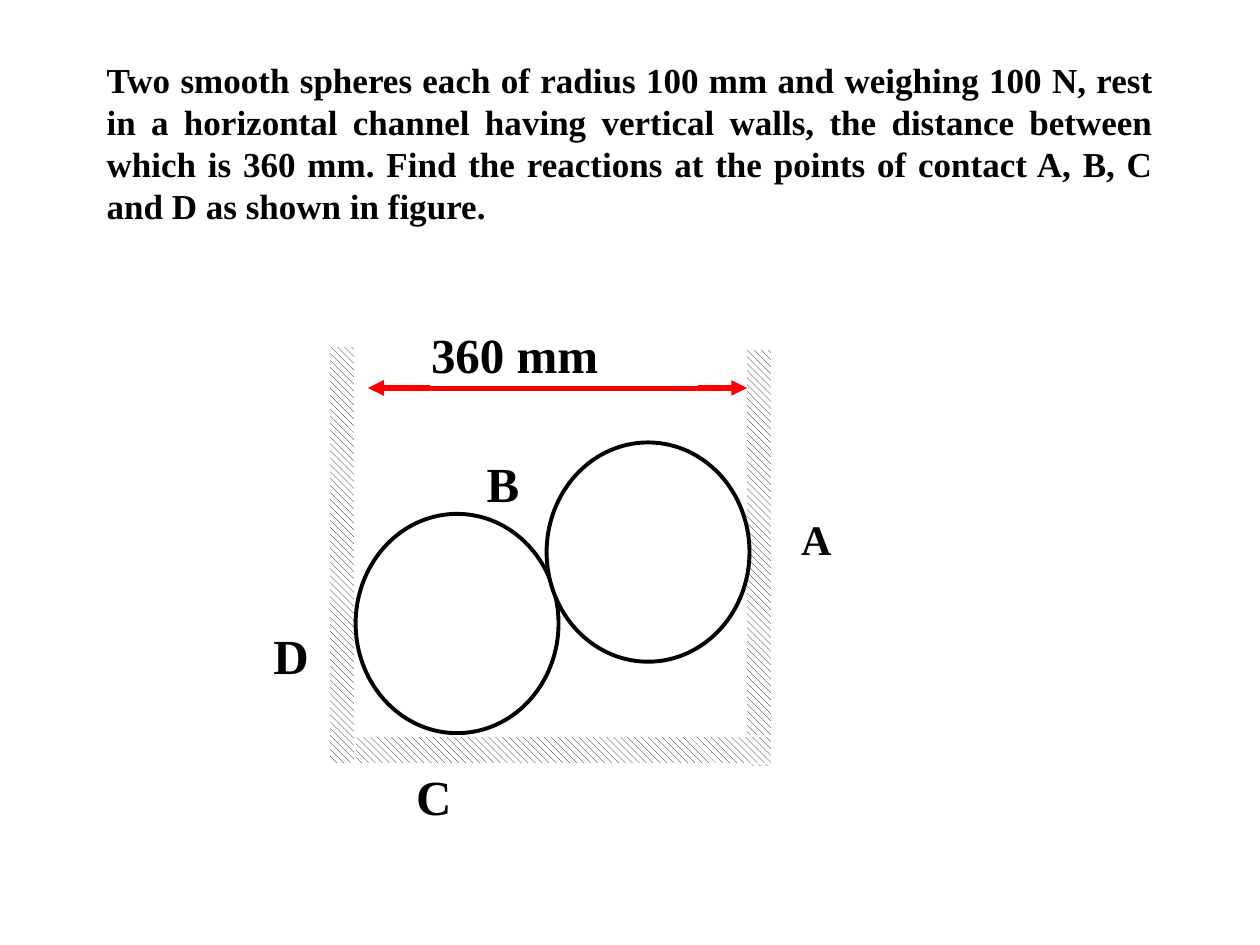
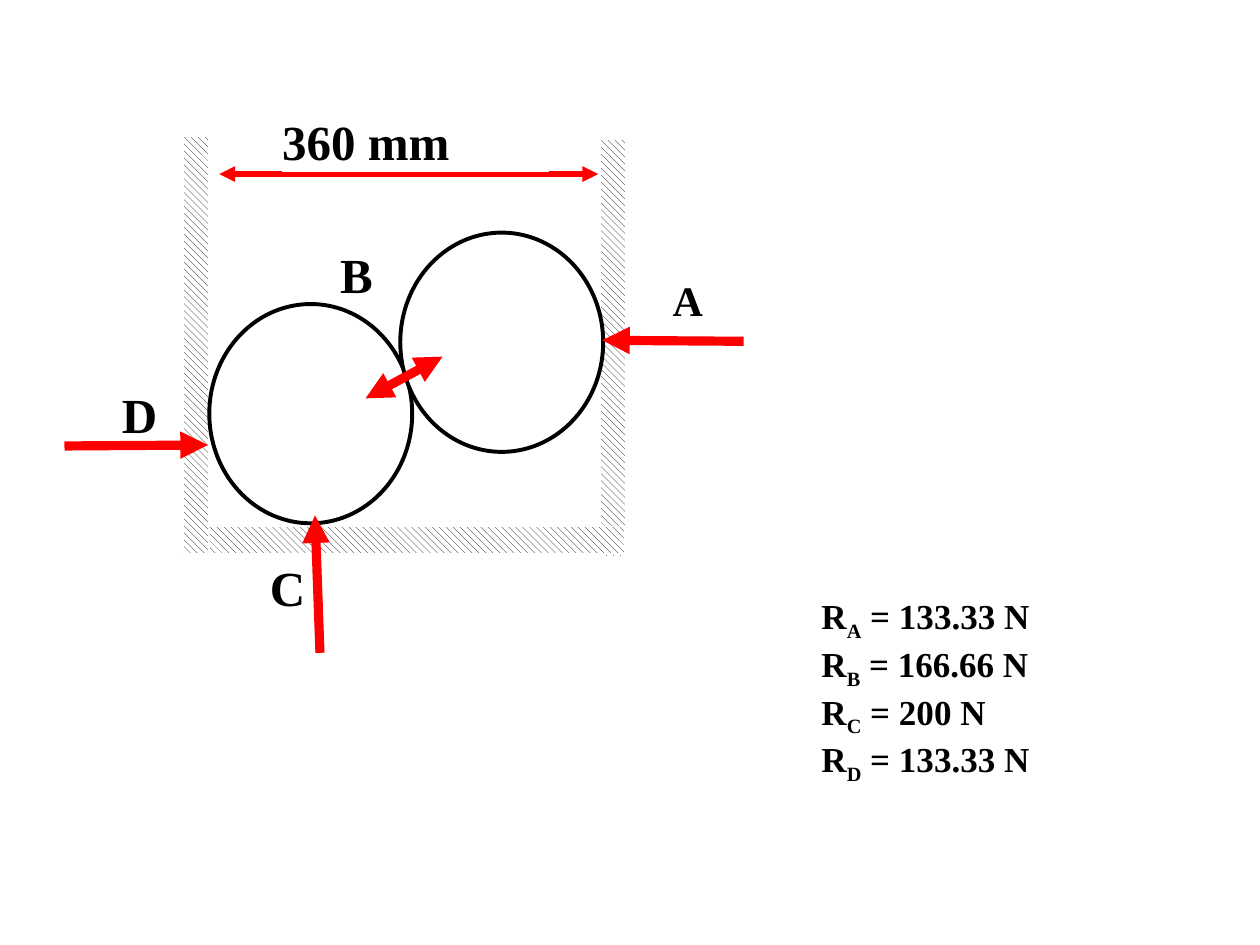
from dataclasses import dataclass

from lxml import etree
from pptx import Presentation
from pptx.dml.color import RGBColor
from pptx.enum.dml import MSO_PATTERN
from pptx.enum.shapes import MSO_CONNECTOR, MSO_SHAPE
from pptx.enum.text import MSO_ANCHOR, MSO_AUTO_SIZE, PP_ALIGN
from pptx.oxml.ns import qn
from pptx.util import Cm, Pt

RECTANGLE, OVAL = MSO_SHAPE.RECTANGLE, MSO_SHAPE.OVAL
STRAIGHT = MSO_CONNECTOR.STRAIGHT
HATCH = MSO_PATTERN.WIDE_DOWNWARD_DIAGONAL
TOP = MSO_ANCHOR.TOP
GROW = MSO_AUTO_SIZE.SHAPE_TO_FIT_TEXT
LEFT, RIGHT, JUSTIFY = PP_ALIGN.LEFT, PP_ALIGN.RIGHT, PP_ALIGN.JUSTIFY


@dataclass(frozen=True)
class Theme:
    font: str = "Times New Roman"
    ink: RGBColor = RGBColor(0, 0, 0)
    paper: RGBColor = RGBColor(255, 255, 255)
    arrow: RGBColor = RGBColor(255, 0, 0)
    body_size: Pt = Pt(20)
    small_label_size: Pt = Pt(24)
    label_size: Pt = Pt(28)
    edge_width: Pt = Pt(0.75)
    sphere_width: Pt = Pt(2.25)
    dimension_width: Pt = Pt(3)
    force_width: Pt = Pt(5.25)


THEME = Theme()

PROBLEM = (
    "Two smooth spheres each of radius 100 mm and weighing 100 N, rest in a "
    "horizontal channel having vertical walls, the distance between which is "
    "360 mm. Find the reactions at the points of contact A, B, C and D as "
    "shown in figure."
)
# The spaces after some values keep the justified column as set.
REACTIONS = [
    ("A", " = 133.33 N "),
    ("B", " = 166.66 N"),
    ("C", " = 200 N "),
    ("D", " = 133.33 N"),
]
# Each force: start, end, whether it points both ways (cm on the slide).
FORCES = [
    ((14.99, 6.88), (12.14, 6.86), False),
    ((6.45, 13.16), (6.35, 10.39), False),
    ((1.3, 8.99), (4.19, 8.97), False),
    ((7.37, 8.03), (8.92, 7.19), True),
]


def style_paragraph(paragraph, size, alignment):
    paragraph.alignment = alignment
    paragraph.font.name = THEME.font
    paragraph.font.size = size
    paragraph.font.bold = True
    paragraph.font.color.rgb = THEME.ink


def add_outlined(shapes, kind, left, top, width, height, color, line_width):
    shape = shapes.add_shape(kind, Cm(left), Cm(top), Cm(width), Cm(height))
    shape.shadow.inherit = False
    shape.fill.solid()
    shape.fill.fore_color.rgb = THEME.paper
    shape.line.color.rgb = color
    shape.line.width = line_width
    return shape


def add_wall(shapes, left, top, width, height):
    wall = add_outlined(shapes, RECTANGLE, left, top, width, height,
                        THEME.paper, THEME.edge_width)
    wall.fill.patterned()
    wall.fill.pattern = HATCH
    wall.fill.fore_color.rgb = THEME.ink
    wall.fill.back_color.rgb = THEME.paper


def add_sphere(shapes, left, top):
    add_outlined(shapes, OVAL, left, top, 4.09, 4.42, THEME.ink, THEME.sphere_width)


def add_label(shapes, text, left, top, width=1.19, size=THEME.label_size, alignment=LEFT):
    label = add_outlined(shapes, RECTANGLE, left, top, width, 1.22,
                         THEME.paper, THEME.edge_width)
    frame = label.text_frame
    frame.margin_left = frame.margin_top = frame.margin_right = frame.margin_bottom = 0
    frame.vertical_anchor = TOP
    paragraph = frame.paragraphs[0]
    paragraph.text = text
    paragraph.space_after = Pt(10)
    style_paragraph(paragraph, size, alignment)


def add_arrow(shapes, start, end, width, both_ways=False):
    arrow = shapes.add_connector(STRAIGHT, *(Cm(value) for value in (*start, *end)))
    arrow.line.color.rgb = THEME.arrow
    arrow.line.width = width
    line = arrow.line._get_or_add_ln()
    for tag in ["a:headEnd", "a:tailEnd"] if both_ways else ["a:tailEnd"]:
        etree.SubElement(line, qn(tag), type="triangle")
    etree.SubElement(arrow._element.spPr, qn("a:effectLst"))


def add_dimension(shapes, left, top):
    add_arrow(shapes, (left, top), (left + 7.64, top), THEME.dimension_width, both_ways=True)
    add_label(shapes, "360 mm", left + 1.27, top - 1.27, width=5.36)


def add_channel(slide, left, top, label_a, label_d):
    """Draw the channel and spheres; labels A and D take offsets from its corner."""
    shapes = slide.shapes.add_group_shape().shapes
    add_wall(shapes, left, top, 0.51, 8.41)
    add_wall(shapes, left + 8.4, top + 0.06, 0.51, 8.41)
    add_sphere(shapes, left + 0.52, top + 3.38)
    add_sphere(shapes, left + 4.37, top + 1.94)
    add_wall(shapes, left + 0.52, top + 7.86, 8.38, 0.56)
    add_label(shapes, "B", left + 3.16, top + 2.17)
    add_label(shapes, "C", left + 1.74, top + 8.48)
    add_label(shapes, "A", left + label_a[0], top + label_a[1],
              size=THEME.small_label_size, alignment=RIGHT)
    add_label(shapes, "D", left + label_d[0], top + label_d[1], width=0.86)


def add_body_frame(slide, left, top, width, height):
    box = slide.shapes.add_textbox(Cm(left), Cm(top), Cm(width), Cm(height))
    box.text_frame.word_wrap = True
    box.text_frame.auto_size = GROW
    return box.text_frame


def add_problem(slide):
    paragraph = add_body_frame(slide, 1.9, 1.06, 21.6, 3.68).paragraphs[0]
    paragraph.text = PROBLEM
    style_paragraph(paragraph, THEME.body_size, JUSTIFY)


def add_reactions(slide):
    frame = add_body_frame(slide, 16.31, 11.86, 4.88, 3.68)
    for index, (point, value) in enumerate(REACTIONS):
        paragraph = frame.add_paragraph() if index else frame.paragraphs[0]
        style_paragraph(paragraph, THEME.body_size, JUSTIFY)
        paragraph.add_run().text = "R"
        subscript = paragraph.add_run()
        subscript.text = point
        subscript._r.get_or_add_rPr().set("baseline", "-25000")
        paragraph.add_run().text = value


def build_problem_slide(slide):
    add_channel(slide, 6.65, 6.98, label_a=(8.92, 3.38), label_d=(-1.14, 5.64))
    add_problem(slide)
    add_dimension(slide.shapes, 7.42, 7.82)


def build_solution_slide(slide):
    add_channel(slide, 3.7, 2.75, label_a=(9.28, 2.79), label_d=(-1.24, 5))
    add_reactions(slide)
    for start, end, both_ways in FORCES:
        add_arrow(slide.shapes, start, end, THEME.force_width, both_ways)
    add_dimension(slide.shapes, 4.42, 3.51)


def main():
    presentation = Presentation()
    presentation.slide_width, presentation.slide_height = Cm(25.4), Cm(19.05)
    blank_layout = presentation.slide_layouts[6]
    for build in (build_problem_slide, build_solution_slide):
        build(presentation.slides.add_slide(blank_layout))
    presentation.save("out.pptx")


if __name__ == "__main__":
    main()
